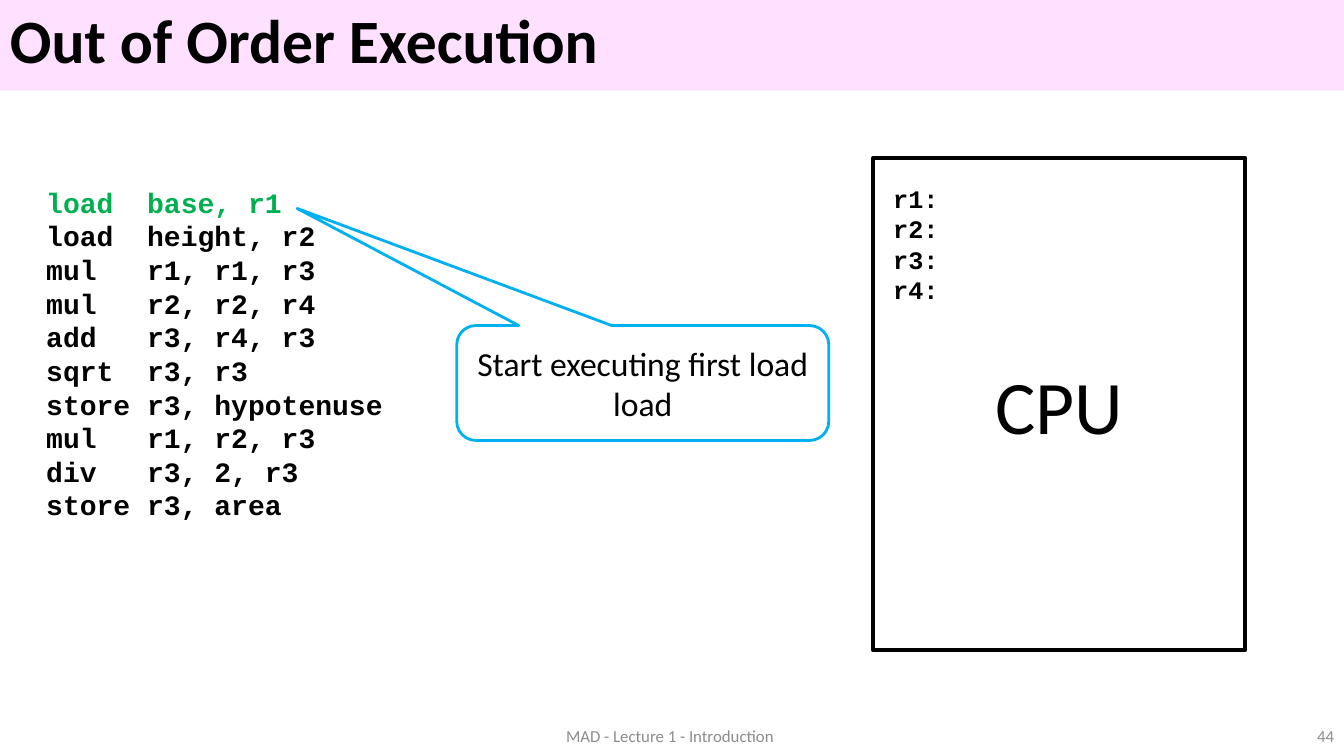
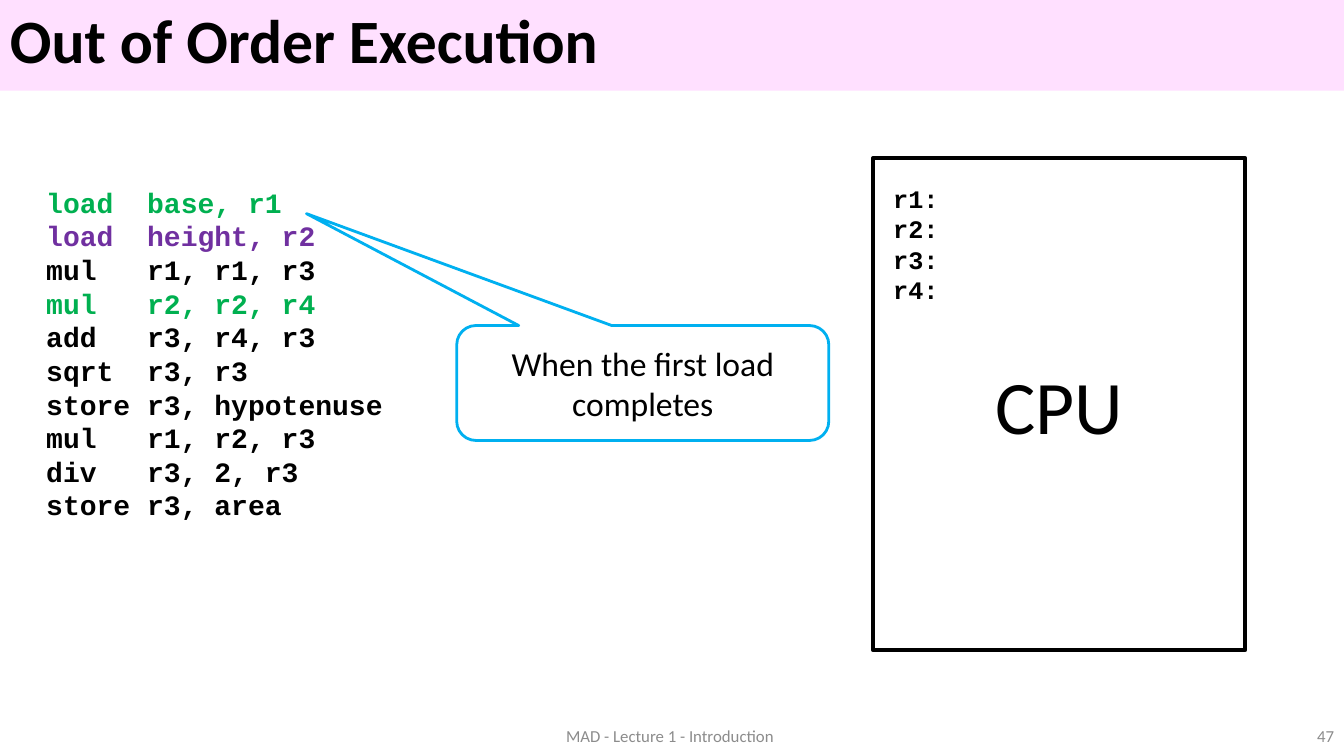
from dataclasses import dataclass

from pptx import Presentation
from pptx.dml.color import RGBColor
from pptx.enum.shapes import MSO_SHAPE
from pptx.enum.text import MSO_ANCHOR, PP_ALIGN
from pptx.util import Inches, Pt


@dataclass(frozen=True)
class Theme:
    """Colours, fonts and type sizes of the deck."""
    band: str = "FFE0FF"
    paper: str = "FFFFFF"
    ink: str = "000000"
    muted: str = "8C8C8C"
    accent: str = "00B0F0"
    running: str = "00B050"
    waiting: str = "7030A0"
    body_font: str = "Calibri"
    code_font: str = "Courier New"
    title_size: int = 44
    cpu_size: int = 54
    callout_size: int = 24
    code_size: int = 20
    register_size: int = 18
    footer_size: int = 12


THEME = Theme()
WIDTH, HEIGHT = 13.33, 7.5
TITLE = "Out of Order Execution"
FOOTER = "MAD - Lecture 1 - Introduction "
PROGRAM = [
    "load  base, r1",
    "load  height, r2",
    "mul   r1, r1, r3",
    "mul   r2, r2, r4",
    "add   r3, r4, r3",
    "sqrt  r3, r3",
    "store r3, hypotenuse",
    "mul   r1, r2, r3",
    "div   r3, 2, r3",
    "store r3, area",
]
REGISTERS = ["r1:", "r2:", "r3:", "r4:"]

# Per slide: number, callout text, callout tip, colours by program line
STEPS = [
    (44, "Start executing first load load", (-0.929, -1.519),
     {0: THEME.running}),
    (47, "When the first load completes", (-0.904, -1.474),
     {0: THEME.running, 1: THEME.waiting, 3: THEME.running}),
]


def write(sp, lines, *, size, font=THEME.body_font, color=THEME.ink,
          colors=None, bold=False, align=PP_ALIGN.LEFT,
          anchor=MSO_ANCHOR.MIDDLE, spacing=None):
    """Fill a shape with one paragraph per line; colors overrides by index."""
    tf = sp.text_frame
    tf.word_wrap = True
    tf.vertical_anchor = anchor
    for i, line in enumerate(lines):
        p = tf.add_paragraph() if i else tf.paragraphs[0]
        p.alignment = align
        if spacing:
            p.line_spacing = spacing
        r = p.add_run()
        r.text = line
        r.font.name, r.font.size, r.font.bold = font, Pt(size), bold
        r.font.color.rgb = RGBColor.from_string((colors or {}).get(i, color))


class Deck:
    def __init__(self, theme):
        self.theme = theme
        self.prs = Presentation()
        self.prs.slide_width, self.prs.slide_height = Inches(WIDTH), Inches(HEIGHT)
        self.s = None

    def text(self, box, lines, shapes=None, **fmt):
        sp = (shapes or self.s.shapes).add_textbox(*map(Inches, box))
        write(sp, lines, **fmt)

    def shape(self, kind, box, fill=None, line=None, weight=1, shapes=None):
        sp = (shapes or self.s.shapes).add_shape(kind, *map(Inches, box))
        sp.shadow.inherit = False
        if fill:
            sp.fill.solid()
            sp.fill.fore_color.rgb = RGBColor.from_string(fill)
        else:
            sp.fill.background()
        if line:
            sp.line.color.rgb = RGBColor.from_string(line)
            sp.line.width = Pt(weight)
        else:
            sp.line.fill.background()
        return sp

    def code(self, box, lines, size, **kw):
        self.text(box, lines, size=size, font=self.theme.code_font, bold=True,
                  anchor=MSO_ANCHOR.TOP, **kw)

    def slide(self, title, number):
        """Start a slide with its band, title and footer."""
        t = self.theme
        self.s = self.prs.slides.add_slide(self.prs.slide_layouts[6])
        self.shape(MSO_SHAPE.RECTANGLE, (0, 0, WIDTH, 0.9), fill=t.band)
        self.text((0, 0, WIDTH, 0.87), [title], size=t.title_size, bold=True,
                  spacing=0.9)
        self.text((WIDTH - 3, 7.1, 3, 0.4), [str(number)], size=t.footer_size,
                  color=t.muted, align=PP_ALIGN.RIGHT)
        self.text(((WIDTH - 4.5) / 2, 7.1, 4.5, 0.4), [FOOTER],
                  size=t.footer_size, color=t.muted, align=PP_ALIGN.CENTER)

    def cpu(self, registers):
        """Processor box grouped with its register list."""
        t = self.theme
        shapes = self.s.shapes.add_group_shape().shapes
        sp = self.shape(MSO_SHAPE.RECTANGLE, (8.66, 1.57, 3.69, 4.88),
                        line=t.ink, weight=3, shapes=shapes)
        write(sp, ["CPU"], size=t.cpu_size, align=PP_ALIGN.CENTER)
        self.code((8.76, 1.77, 1.88, 1.31), registers, t.register_size,
                  shapes=shapes)

    def callout(self, message, tip):
        t = self.theme
        sp = self.shape(MSO_SHAPE.ROUNDED_RECTANGULAR_CALLOUT,
                        (4.53, 3.23, 3.69, 1.14),
                        fill=t.paper, line=t.accent, weight=2)
        for i, value in enumerate((*tip, 0.167)):
            sp.adjustments[i] = value
        write(sp, [message], size=t.callout_size, align=PP_ALIGN.CENTER)


def main():
    deck = Deck(THEME)
    for number, message, tip, colors in STEPS:
        deck.slide(TITLE, number)
        deck.code((0.36, 1.79, 3.82, 3.47), PROGRAM, THEME.code_size,
                  colors=colors)
        deck.cpu(REGISTERS)
        deck.callout(message, tip)
    deck.prs.save("out.pptx")


if __name__ == "__main__":
    main()
